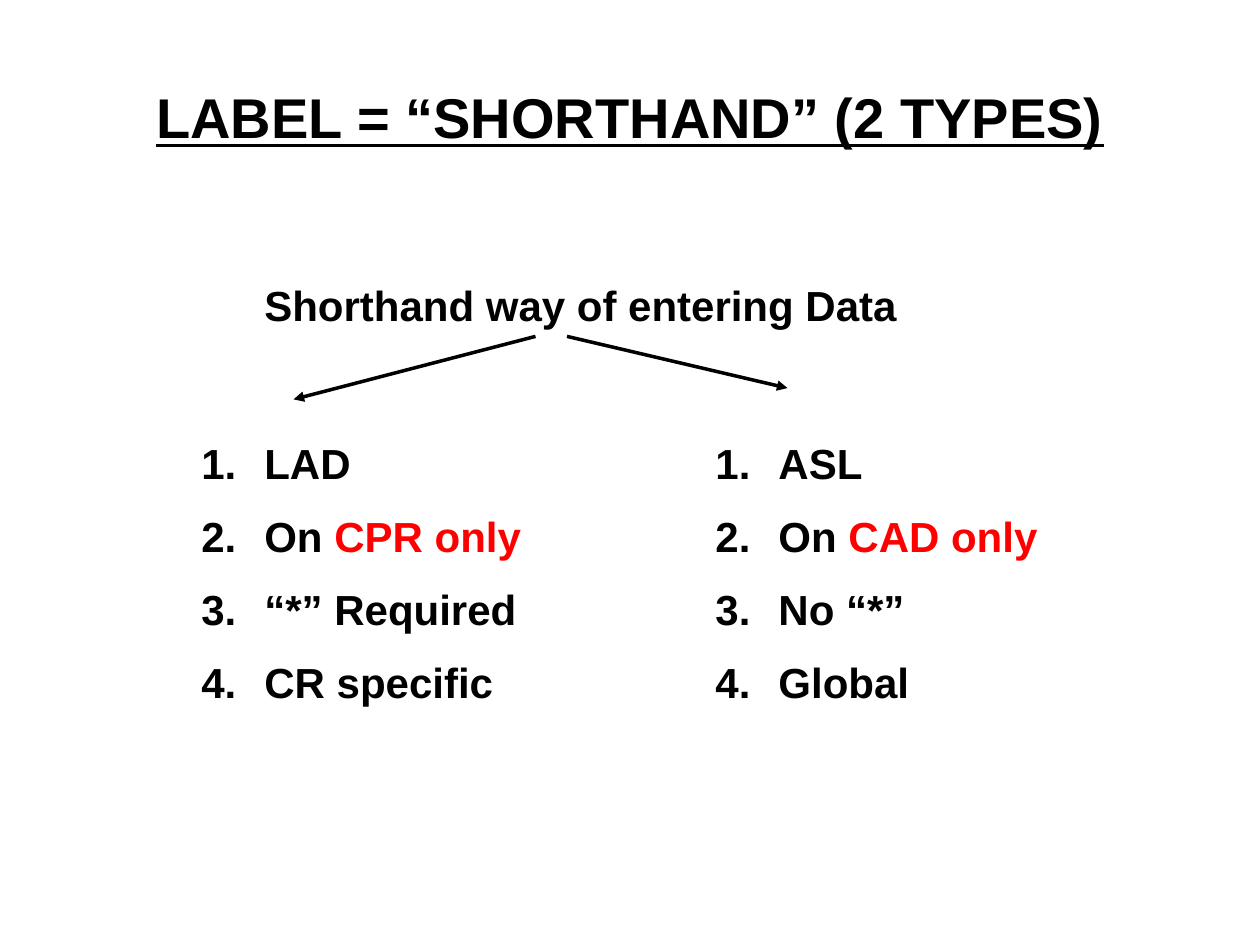
from dataclasses import dataclass

from lxml import etree
from pptx import Presentation
from pptx.dml.color import RGBColor
from pptx.enum.shapes import MSO_CONNECTOR
from pptx.enum.text import MSO_ANCHOR, MSO_AUTO_SIZE, PP_ALIGN
from pptx.oxml.ns import qn
from pptx.util import Inches, Pt


@dataclass(frozen=True)
class Theme:
    font: str = "Arial"
    text: RGBColor = RGBColor(0, 0, 0)
    accent: RGBColor = RGBColor(255, 0, 0)
    title_size: Pt = Pt(32)
    body_size: Pt = Pt(24)
    first_gap: Pt = Pt(2)
    paragraph_gap: Pt = Pt(13)
    line_width: Pt = Pt(2)


theme = Theme()


def add_text_frame(left, top, width, height, **frame_format):
    box = slide.shapes.add_textbox(*map(Inches, (left, top, width, height)))
    frame_format = {"word_wrap": True, "auto_size": MSO_AUTO_SIZE.SHAPE_TO_FIT_TEXT} | frame_format
    for name, value in frame_format.items():
        setattr(box.text_frame, name, value)
    return box.text_frame


def add_run(paragraph, text, color=theme.text, **font_format):
    run = paragraph.add_run()
    run.text = text
    run.font.color.rgb = color
    font_format = {"name": theme.font, "size": theme.body_size, "bold": True} | font_format
    for name, value in font_format.items():
        setattr(run.font, name, value)


presentation = Presentation()
presentation.slide_width = Inches(10)
presentation.slide_height = Inches(7.5)
slide = presentation.slides.add_slide(presentation.slide_layouts[6])

# Title
title = add_text_frame(0.5, 0.3, 9, 1.25, auto_size=MSO_AUTO_SIZE.NONE,
                       vertical_anchor=MSO_ANCHOR.MIDDLE).paragraphs[0]
title.alignment = PP_ALIGN.CENTER
add_run(title, "LABEL = “SHORTHAND” (2 TYPES)", size=theme.title_size, underline=True)

# Definition
definition = add_text_frame(2, 2.17, 5.5, 0.5).paragraphs[0]
definition.space_before = theme.first_gap
add_run(definition, "Shorthand way of entering Data")

# Numbered lists, one per label type; the second part of an item is highlighted
label_types = [
    (1.5, 2.83, [("LAD",), ("On ", "CPR only"), ("“*” Required",), ("CR specific",)]),
    (5.58, 2.92, [("ASL",), ("On ", "CAD only"), ("No “*”",), ("Global",)]),
]
for left, width, items in label_types:
    text_frame = add_text_frame(left, 3.42, width, 2.32)
    for index, parts in enumerate(items):
        paragraph = text_frame.add_paragraph() if index else text_frame.paragraphs[0]
        paragraph.space_before = theme.paragraph_gap if index else theme.first_gap
        for text, color in zip(parts, (theme.text, theme.accent)):
            add_run(paragraph, text, color)
        properties = paragraph._p.get_or_add_pPr()
        properties.set("marL", str(Inches(0.5)))
        properties.set("indent", str(-Inches(0.5)))
        etree.SubElement(properties, qn("a:buFont"), typeface="+mj-lt")
        etree.SubElement(properties, qn("a:buAutoNum"), type="arabicPeriod")

# Arrows from the definition to the lists
for start_x, end_x, end_y in [(4.25, 2.33, 3.17), (4.5, 6.25, 3.08)]:
    arrow = slide.shapes.add_connector(
        MSO_CONNECTOR.STRAIGHT, *map(Inches, (start_x, 2.67, end_x, end_y)))
    arrow.line.color.rgb = theme.text
    arrow.line.width = theme.line_width
    etree.SubElement(arrow.line._get_or_add_ln(), qn("a:tailEnd"), type="triangle")
    etree.SubElement(arrow._element.spPr, qn("a:effectLst"))

presentation.save("out.pptx")
